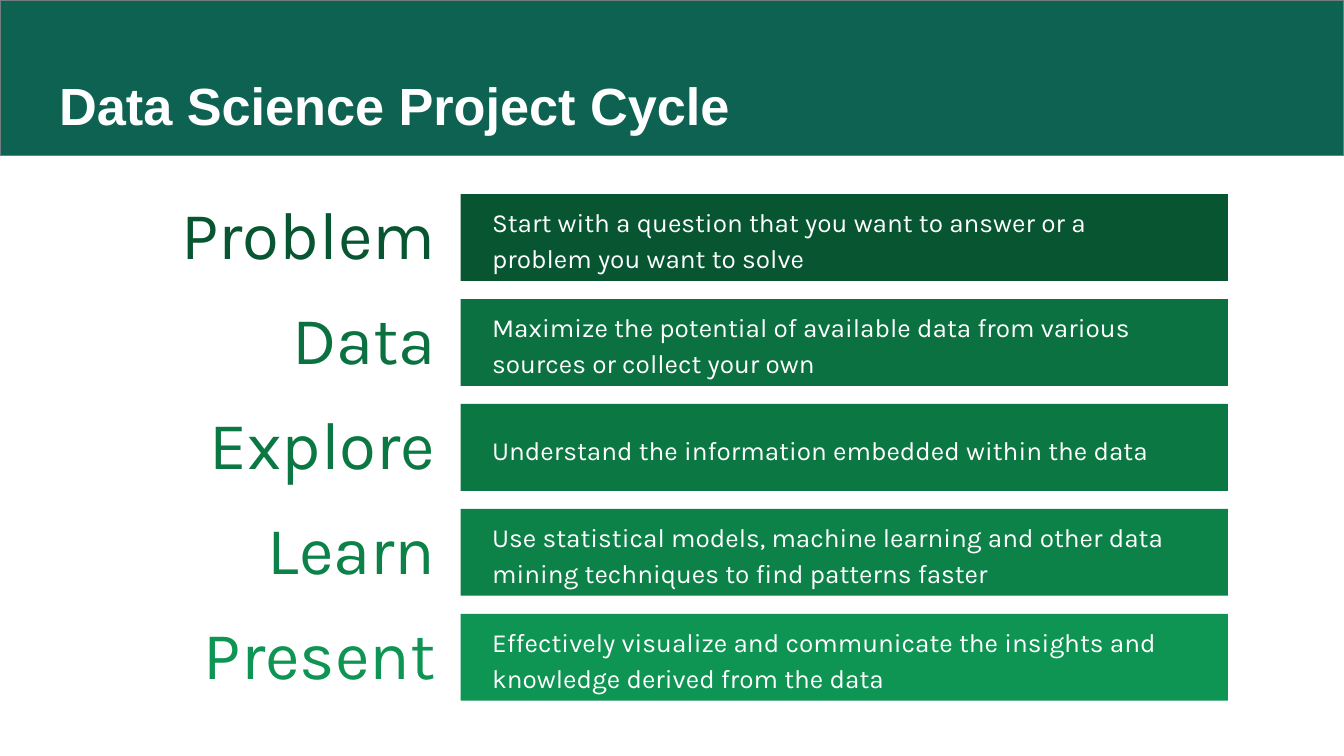
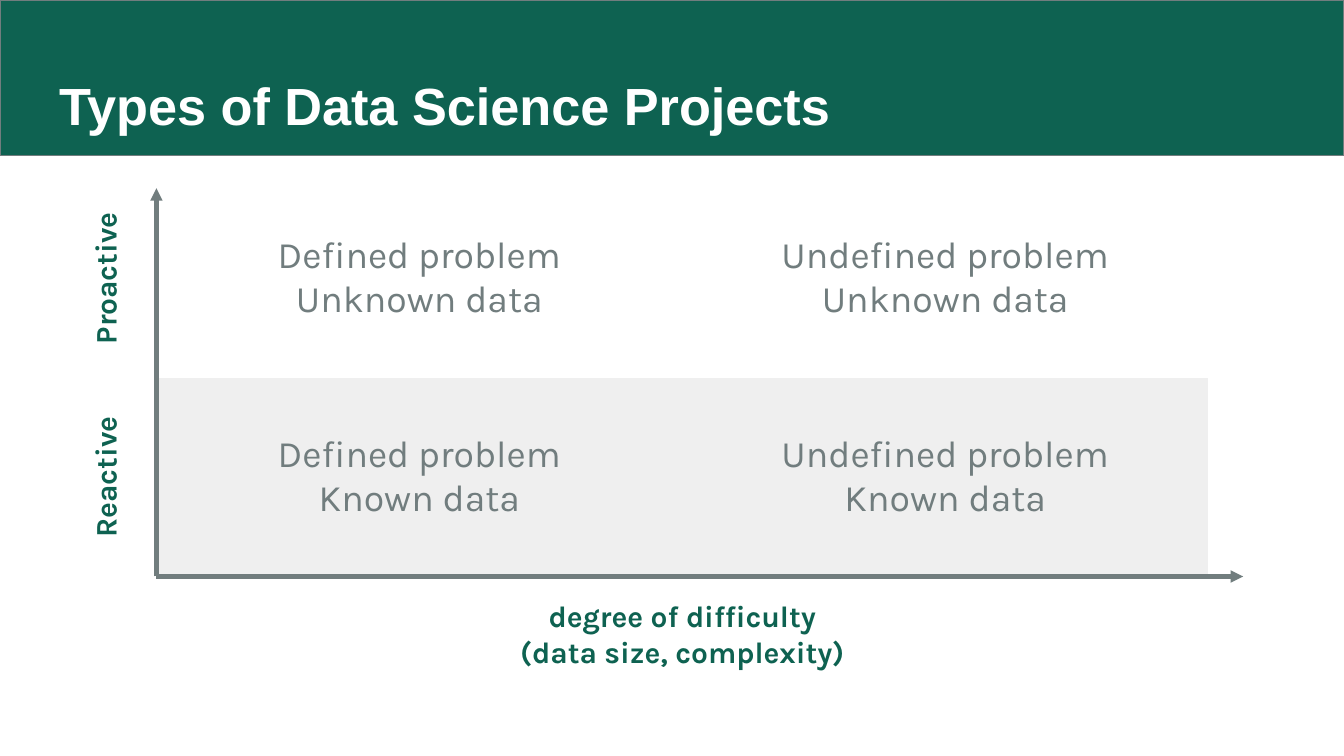
from lxml.etree import SubElement
from pptx import Presentation
from pptx.dml.color import RGBColor
from pptx.enum.shapes import MSO_CONNECTOR, MSO_SHAPE
from pptx.enum.text import MSO_ANCHOR, MSO_AUTO_SIZE, PP_ALIGN
from pptx.oxml.ns import qn
from pptx.util import Inches, Pt

COLORS = {
    "band": "0E6251",
    "gray": "717D7E",
    "white": "FFFFFF",
    "shade": "EFEFEF",
    "problem": "085631",
    "data": "0B7140",
    "explore": "0B7743",
    "learn": "0C8148",
    "present": "0E9453",
}
NO_GRID = "{2D5ABB26-0587-4C30-8999-92F81FD0307C}"

STEPS = [
    ("Problem", "Start with a question that you want to answer or a problem you want to solve"),
    ("Data", "Maximize the potential of available data from various sources or collect your own"),
    ("Explore", "Understand the information embedded within the data"),
    ("Learn", "Use statistical models, machine learning and other data mining techniques "
              "to find patterns faster"),
    ("Present", "Effectively visualize and communicate the insights and knowledge "
                "derived from the data"),
]
QUADRANTS = [
    ["Defined problem\nUnknown data", "Undefined problem\nUnknown data"],
    ["Defined problem\nKnown data", "Undefined problem\nKnown data"],
]


class Deck:
    """Holds the style and the current slide; lengths are percent of the slide's size."""

    def __init__(self):
        self.prs = Presentation()
        self.prs.slide_width = Inches(10)
        self.prs.slide_height = Inches(5.625)
        self.layout = self.prs.slide_layouts[5]
        for ph in list(self.layout.placeholders)[1:]:
            ph.element.getparent().remove(ph.element)
        self.s = None
        self.banded = False

    def x(self, share):
        return round(self.prs.slide_width * share / 100)

    def y(self, share):
        return round(self.prs.slide_height * share / 100)

    def box(self, left, top, width, height):
        return self.x(left), self.y(top), self.x(width), self.y(height)

    def color(self, name):
        return RGBColor.from_string(COLORS[name])

    def slide(self, title):
        self.s = self.prs.slides.add_slide(self.layout)
        if not self.banded:
            band = self.rect((0, 0, 100, 20.6), "band", line="gray")
            self.layout.shapes.element.insert(2, band.element)
            self.banded = True
        sp = self.s.shapes.title
        sp.left, sp.top, sp.width, sp.height = self.box(3.4, 8.65, 93.2, 11.13)
        self.set_text(sp.text_frame, title, 28, "white", font="Arial", bold=True,
                      align=PP_ALIGN.LEFT, anchor=MSO_ANCHOR.BOTTOM)

    def group(self):
        return self.s.shapes.add_group_shape()

    def set_text(self, tf, text, size, color, font="Karla", bold=False, align=PP_ALIGN.CENTER,
                 anchor=MSO_ANCHOR.MIDDLE, spacing=1.0, inset=0.1):
        tf.text = text
        tf.word_wrap = True
        tf.auto_size = MSO_AUTO_SIZE.NONE
        tf.vertical_anchor = anchor
        tf.margin_left = tf.margin_right = Inches(0.1)
        tf.margin_top = tf.margin_bottom = Inches(inset)
        self.style(tf, size, color, font, bold, align, spacing)

    def style(self, tf, size, color, font="Karla", bold=False, align=PP_ALIGN.CENTER,
              spacing=1.0):
        for p in tf.paragraphs:
            p.alignment = align
            p.line_spacing = spacing
            for r in p.runs:
                r.font.name = font
                r.font.size = Pt(size)
                r.font.bold = bold
                r.font.color.rgb = self.color(color)

    def text(self, box, text, size, color, parent=None, rotation=0, **style):
        sp = (parent or self.s).shapes.add_textbox(*self.box(*box))
        sp.rotation = rotation
        self.set_text(sp.text_frame, text, size, color, **style)

    def rect(self, box, fill, line=None, parent=None):
        sp = (parent or self.s).shapes.add_shape(MSO_SHAPE.RECTANGLE, *self.box(*box))
        sp.shadow.inherit = False
        sp.fill.solid()
        sp.fill.fore_color.rgb = self.color(fill)
        if line:
            sp.line.color.rgb = self.color(line)
            sp.line.width = Pt(0.75)
        else:
            sp.line.fill.background()
        return sp

    def arrow(self, x1, y1, x2, y2):
        cxn = self.s.shapes.add_connector(MSO_CONNECTOR.STRAIGHT, self.x(x1), self.y(y1),
                                          self.x(x2), self.y(y2))
        cxn.line.color.rgb = self.color("gray")
        cxn.line.width = Pt(2.25)
        props = cxn.element.spPr
        SubElement(props.find(qn("a:ln")), qn("a:tailEnd"), type="triangle")
        SubElement(props, qn("a:effectLst"))

    def table(self, box, rows, fills):
        frame = self.s.shapes.add_table(len(rows), len(rows[0]), *self.box(*box))
        next(frame.element.iter(qn("a:tableStyleId"))).text = NO_GRID
        tbl = frame.table
        tbl.first_row = tbl.horz_banding = False
        for i, (row, fill) in enumerate(zip(rows, fills)):
            for j, text in enumerate(row):
                cell = tbl.cell(i, j)
                cell.text = text
                cell.vertical_anchor = MSO_ANCHOR.MIDDLE
                cell.margin_left = cell.margin_right = Inches(0.1)
                cell.margin_top = cell.margin_bottom = Inches(0.07)
                if fill:
                    cell.fill.solid()
                    cell.fill.fore_color.rgb = self.color(fill)
                else:
                    cell.fill.background()
                self.style(cell.text_frame, 20, "gray")


def project_cycle(deck):
    deck.slide("Data Science Project Cycle")
    top, pitch, height = 25.67, 13.88, 11.5
    for i, (name, detail) in enumerate(STEPS):
        y = top + i * pitch
        color = name.lower()
        grp = deck.group()
        deck.text((8.6, y + 0.8, 24.8, 10), name, 36, color, parent=grp,
                  align=PP_ALIGN.RIGHT, spacing=0.9, inset=0.05)
        deck.rect((34.27, y, 57.1, height), color, parent=grp)
        deck.text((35.63, y, 52.5, height), detail, 14, "white", parent=grp,
                  align=PP_ALIGN.LEFT, spacing=1.15, inset=0.05)


def project_types(deck):
    deck.slide("Types of Data Science Projects")
    left, top, width, height = 11.64, 23.66, 78.26, 52.6
    bottom = top + height
    deck.table((left, top, width, height), QUADRANTS, [None, "shade"])
    deck.text((left, 78.75, width, 10.2), "degree of difficulty\n(data size, complexity)",
              16, "band", bold=True)
    deck.arrow(left, bottom, 92.5, bottom)
    deck.arrow(left, bottom, left, 24.9)
    label_w, label_h = 14.8, 10.3
    for i, name in enumerate(["Proactive", "Reactive"]):
        middle = top + height * (2 * i + 1) / 4
        deck.text((0.4, middle - label_h / 2, label_w, label_h), name, 16, "band",
                  rotation=270, bold=True)


def main():
    deck = Deck()
    project_cycle(deck)
    project_types(deck)
    deck.prs.save("out.pptx")


if __name__ == "__main__":
    main()
